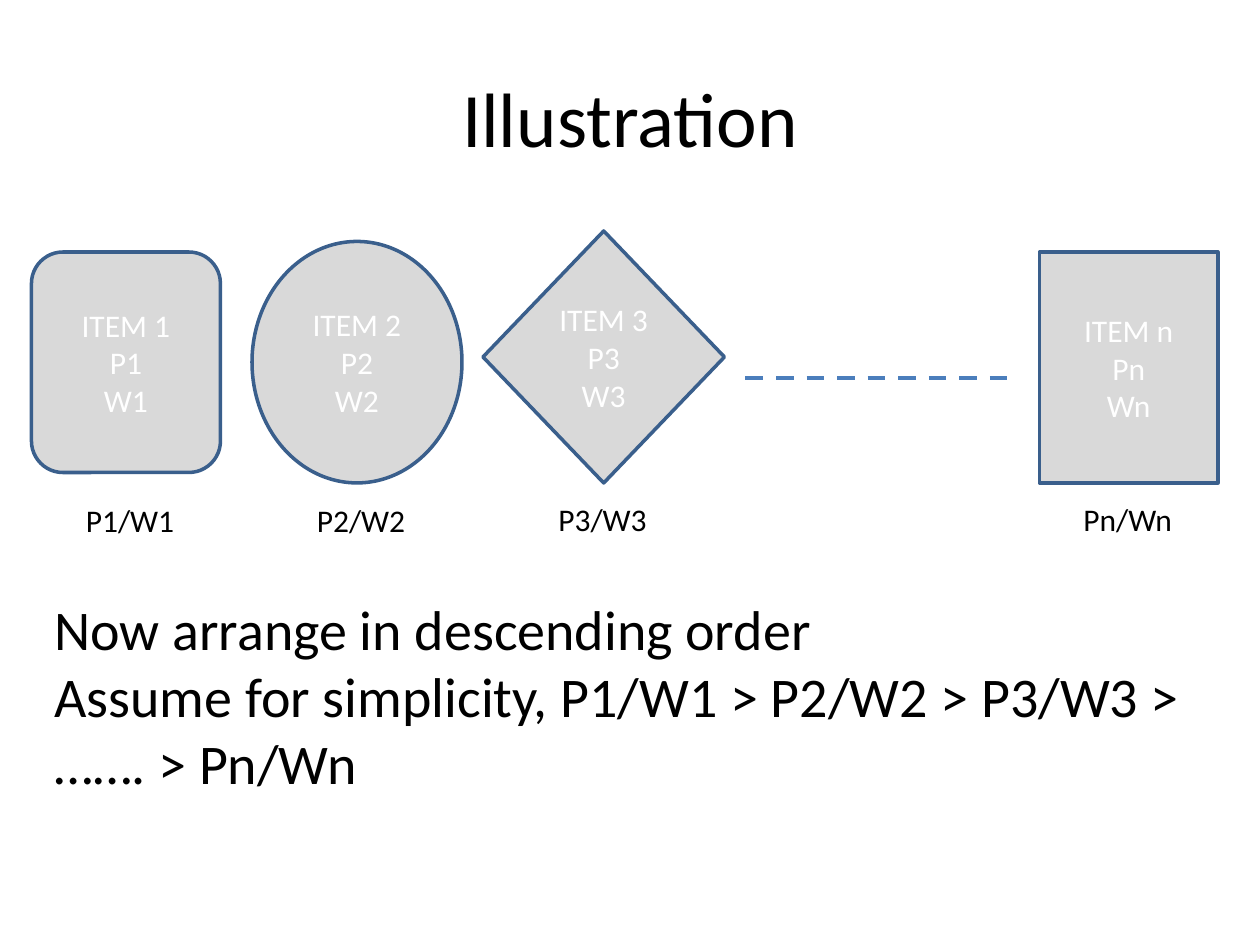
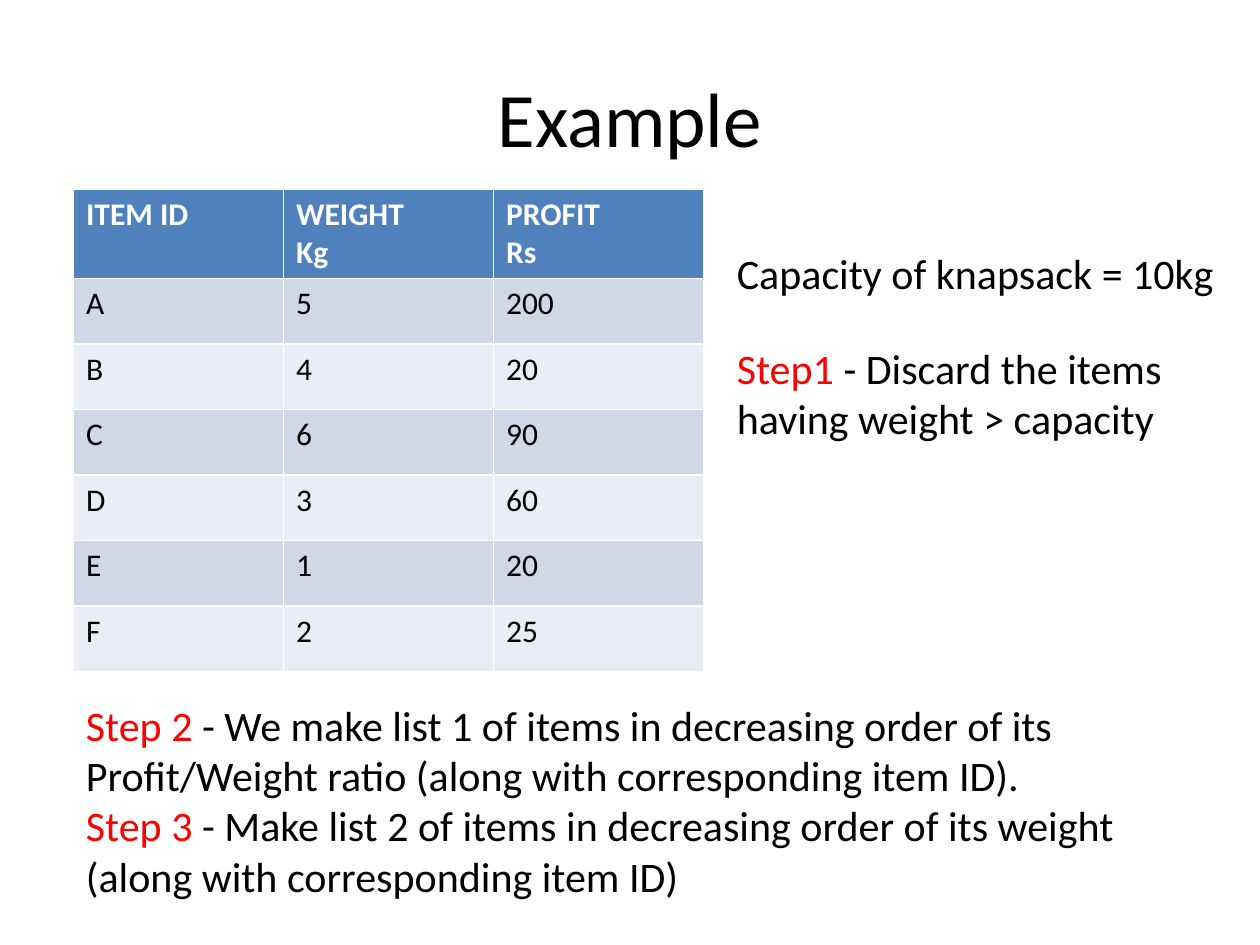
from lxml import etree
from pptx import Presentation
from pptx.dml.color import RGBColor
from pptx.enum.dml import MSO_LINE
from pptx.enum.shapes import MSO_CONNECTOR, MSO_SHAPE
from pptx.enum.text import MSO_ANCHOR, PP_ALIGN
from pptx.oxml.ns import qn
from pptx.util import Inches, Pt

ROUND = MSO_SHAPE.ROUNDED_RECTANGLE
OVAL = MSO_SHAPE.OVAL
DIAMOND = MSO_SHAPE.DIAMOND
RECT = MSO_SHAPE.RECTANGLE
STRAIGHT = MSO_CONNECTOR.STRAIGHT
DASH = MSO_LINE.DASH
MIDDLE = MSO_ANCHOR.MIDDLE
CENTER = PP_ALIGN.CENTER

BLACK = RGBColor(0x00, 0x00, 0x00)
WHITE = RGBColor(0xFF, 0xFF, 0xFF)
RED = RGBColor(0xFF, 0x00, 0x00)
GREY = RGBColor(0xD9, 0xD9, 0xD9)
EDGE = RGBColor(0x3A, 0x5F, 0x8C)
DOTS = RGBColor(0x4B, 0x7E, 0xBC)
HEAD = RGBColor(0x4F, 0x81, 0xBD)
BANDS = [RGBColor(0xE9, 0xED, 0xF4), RGBColor(0xD0, 0xD8, 0xE8)]
FONT = "Calibri"

deck = Presentation()
deck.slide_width = Inches(10)
deck.slide_height = Inches(7.5)
UNIT = deck.slide_width / 120


def style(frame, size, color, bold=False):
    for para in frame.paragraphs:
        for run in para.runs:
            run.font.name = FONT
            run.font.size = Pt(size)
            run.font.bold = bold
            run.font.color.rgb = color


def write(shapes, grid, text, size, wrap=True, lead=0):
    box = shapes.add_textbox(*[int(n * UNIT) for n in grid])
    frame = box.text_frame
    frame.word_wrap = wrap
    frame.text = text
    if lead:
        for para in frame.paragraphs:
            whole = para.text
            para.text = whole[:lead]
            para.add_run().text = whole[lead:]
    style(frame, size, BLACK)
    if lead:
        for para in frame.paragraphs:
            para.runs[0].font.color.rgb = RED


pages = []
for name in ["Illustration", "Example"]:
    page = deck.slides.add_slide(deck.slide_layouts[5])
    title = page.shapes.title
    title.left, title.top = Inches(0.5), Inches(0.3)
    title.width, title.height = Inches(9), Inches(1.25)
    title.text_frame.text = name
    style(title.text_frame, 44, BLACK)
    pages.append(page)
first, second = pages

group = first.shapes.add_group_shape().shapes
items = [
    ("1", ROUND, (3, 24, 18, 21), (7, 47.1)),
    ("2", OVAL, (24, 23, 20, 23), (29, 47.1)),
    ("3", DIAMOND, (46, 22, 23, 24), (52, 47)),
    ("n", RECT, (99, 24, 17, 22), (102, 47)),
]
for key, kind, grid, spot in items:
    item = group.add_shape(kind, *[int(n * UNIT) for n in grid])
    item.shadow.inherit = False
    item.fill.solid()
    item.fill.fore_color.rgb = GREY
    item.line.color.rgb = EDGE
    item.line.width = Pt(2)
    frame = item.text_frame
    frame.vertical_anchor = MIDDLE
    frame.text = f"ITEM {key}\nP{key}\nW{key}"
    for para in frame.paragraphs:
        para.alignment = CENTER
    style(frame, 18, WHITE)
    write(group, (*spot, 11, 4.8), f"P{key}/W{key}", 18, wrap=False)

ends = [int(n * UNIT) for n in (71, 36, 97, 36)]
gap = group.add_connector(STRAIGHT, *ends)
gap.line.color.rgb = DOTS
gap.line.width = Pt(2.5)
gap.line.dash_style = DASH
etree.SubElement(gap.element.spPr, qn("a:effectLst"))

write(first.shapes, (4, 56, 111, 20.6),
      "Now arrange in descending order\n"
      "Assume for simplicity, P1/W1 > P2/W2 > P3/W3 > ……. > Pn/Wn", 32)

rows = [
    ("ITEM ID", "WEIGHT\nKg", "PROFIT\nRs"),
    ("A", "5", "200"),
    ("B", "4", "20"),
    ("C", "6", "90"),
    ("D", "3", "60"),
    ("E", "1", "20"),
    ("F", "2", "25"),
]
spot = [int(n * UNIT) for n in (7, 18, 60, 45.8)]
table = second.shapes.add_table(len(rows), len(rows[0]), *spot).table
for r, row in enumerate(rows):
    table.rows[r].height = Inches(0.52 if r else 0.7)
    for c, text in enumerate(row):
        cell = table.cell(r, c)
        cell.text_frame.text = text
        cell.fill.solid()
        cell.fill.fore_color.rgb = BANDS[r % 2] if r else HEAD
        style(cell.text_frame, 18, BLACK if r else WHITE, bold=not r)

write(second.shapes, (69, 23, 49, 6), "Capacity of knapsack = 10kg", 24)
write(second.shapes, (7, 66, 110, 20.6),
      "Step 2 - We make list 1 of items in decreasing order of its "
      "Profit/Weight ratio (along with corresponding item ID).\n"
      "Step 3 - Make list 2 of items in decreasing order of its weight "
      "(along with corresponding item ID)", 24, lead=6)
write(second.shapes, (69, 32, 49, 11),
      "Step1 - Discard the items having weight > capacity", 24, lead=5)

deck.save("out.pptx")
